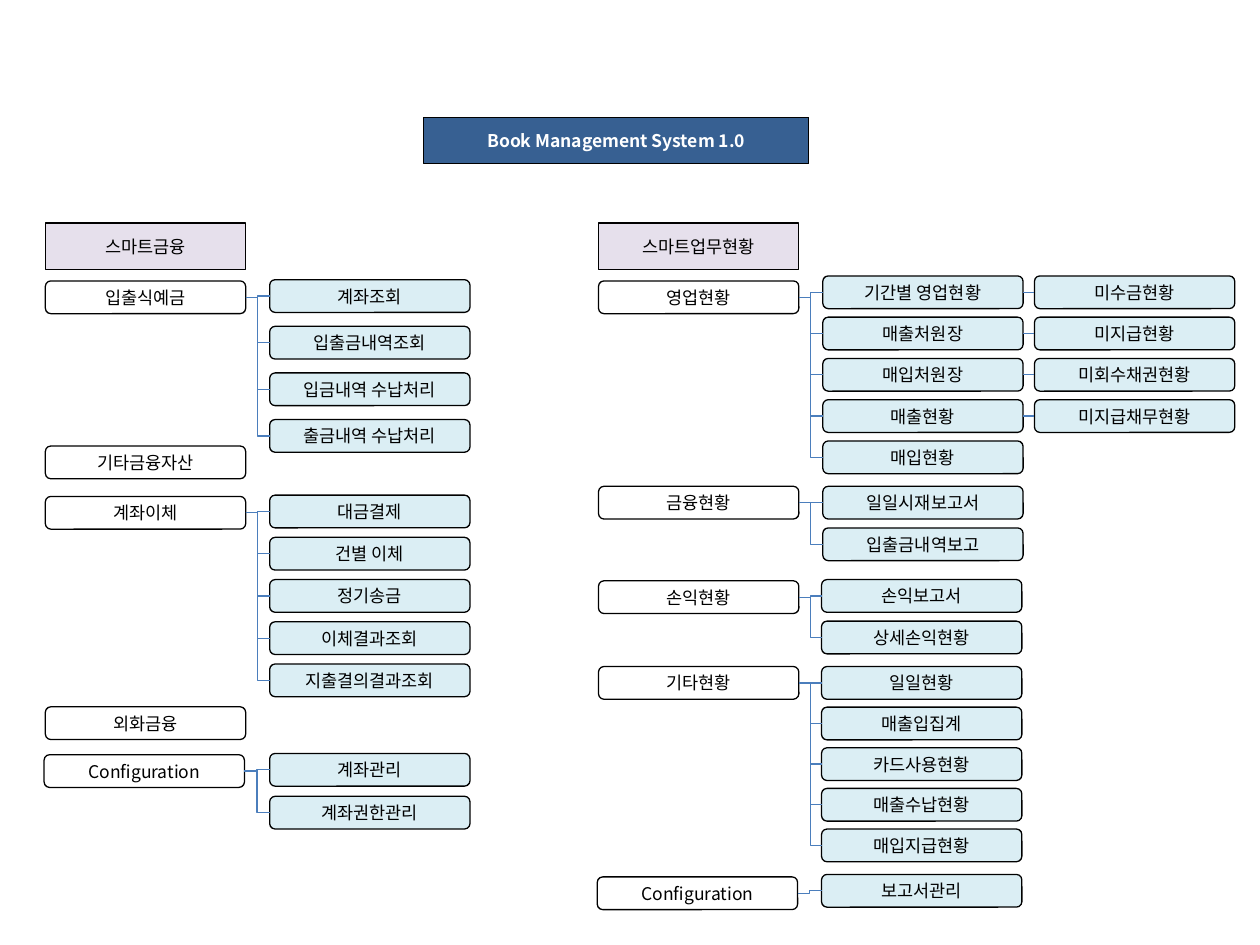
"""Build the menu tree slide of the Book Management System."""
from pptx import Presentation
from pptx.dml.color import RGBColor
from pptx.enum.shapes import MSO_CONNECTOR, MSO_SHAPE
from pptx.enum.text import MSO_ANCHOR, MSO_AUTO_SIZE, PP_ALIGN
from pptx.oxml.ns import qn
from pptx.util import Inches, Pt

FONT = "Noto Sans CJK KR"
BLACK = RGBColor(0x00, 0x00, 0x00)
WHITE = RGBColor(0xFF, 0xFF, 0xFF)
NAVY = RGBColor(0x37, 0x60, 0x92)
LILAC = RGBColor(0xE6, 0xE0, 0xEC)
AQUA = RGBColor(0xDB, 0xEE, 0xF4)
BLUE = RGBColor(0x4B, 0x7E, 0xBC)

BOX_W, BOX_H, HEAD_H = 1.59, 0.26, 0.37
HEAD_Y = 1.77

SECTIONS = [
    (0.36, "스마트금융", [
        (0.36, 2.23, "입출식예금", 2.14, 2.22, 3.33,
         ["계좌조회", "입출금내역조회", "입금내역 수납처리", "출금내역 수납처리"]),
        (0.36, 3.54, "기타금융자산", 2.14, 3.54, 3.54, []),
        (0.36, 3.94, "계좌이체", 2.14, 3.93, 5.27,
         ["대금결제", "건별 이체", "정기송금", "이체결과조회", "지출결의결과조회"]),
        (0.36, 5.61, "외화금융", 2.14, 5.61, 5.61, []),
        (0.35, 5.99, "Configuration", 2.14, 5.98, 6.32, ["계좌관리", "계좌권한관리"]),
    ]),
    (4.75, "스마트업무현황", [
        (4.75, 2.23, "영업현황", 6.53, 2.19, 3.5,
         ["기간별 영업현황", "매출처원장", "매입처원장", "매출현황", "매입현황"]),
        (4.75, 3.86, "금융현황", 6.53, 3.86, 4.19, ["일일시재보고서", "입출금내역보고"]),
        (4.75, 4.61, "손익현황", 6.52, 4.6, 4.93, ["손익보고서", "상세손익현황"]),
        (4.75, 5.29, "기타현황", 6.52, 5.29, 6.58,
         ["일일현황", "매출입집계", "카드사용현황", "매출수납현황", "매입지급현황"]),
        (4.74, 6.96, "Configuration", 6.52, 6.94, 6.94, ["보고서관리"]),
    ]),
]
DETAILS = {
    "기간별 영업현황": "미수금현황",
    "매출처원장": "미지급현황",
    "매입처원장": "미회수채권현황",
    "매출현황": "미지급채무현황",
}
DETAIL_X = 8.21

prs = Presentation()
prs.slide_width, prs.slide_height = Inches(10), Inches(7.5)
s = prs.slides.add_slide(prs.slide_layouts[5])


def add_box(text, x, y, w=BOX_W, h=BOX_H, kind=MSO_SHAPE.ROUNDED_RECTANGLE,
            fill=None, color=BLACK, bold=False, sp=None):
    if sp is None:
        sp = s.shapes.add_shape(kind, Inches(x), Inches(y), Inches(w), Inches(h))
        sp.shadow.inherit = False
    else:
        sp.left, sp.top, sp.width, sp.height = map(Inches, (x, y, w, h))
    if fill is None:
        sp.fill.background()
    else:
        sp.fill.solid()
        sp.fill.fore_color.rgb = fill
    sp.line.color.rgb = BLACK
    sp.line.width = Pt(0.75)
    tf = sp.text_frame
    tf.word_wrap = True
    tf.auto_size = MSO_AUTO_SIZE.NONE
    tf.vertical_anchor = MSO_ANCHOR.MIDDLE
    p = tf.paragraphs[0]
    p.alignment = PP_ALIGN.CENTER
    r = p.add_run()
    r.text = text
    r.font.size, r.font.bold, r.font.name = Pt(10), bold, FONT
    r.font.color.rgb = color
    ea = r.font._element.makeelement(qn("a:ea"), {"typeface": FONT})
    r.font._element.find(qn("a:latin")).addnext(ea)
    return sp


def link(start, end, kind=MSO_CONNECTOR.ELBOW):
    cn = s.shapes.add_connector(kind, 0, 0, 0, 0)
    cn.begin_connect(start, 3)
    cn.end_connect(end, 1)
    cn.line.color.rgb = BLUE
    cn.line.width = Pt(0.75)
    spPr = cn._element.spPr
    spPr.append(spPr.makeelement(qn("a:effectLst"), {}))


add_box("Book Management System 1.0", 3.36, 0.93, w=3.06, h=HEAD_H,
        fill=NAVY, color=WHITE, bold=True, sp=s.shapes.title)

for head_x, head, menus in SECTIONS:
    add_box(head, head_x, HEAD_Y, h=HEAD_H, kind=MSO_SHAPE.RECTANGLE, fill=LILAC)
    for x, y, menu, item_x, first_y, last_y, items in menus:
        menu_box = add_box(menu, x, y)
        step = (last_y - first_y) / max(len(items) - 1, 1)
        for i, item in enumerate(items):
            item_y = first_y + i * step
            item_box = add_box(item, item_x, item_y, fill=AQUA)
            link(menu_box, item_box)
            if item in DETAILS:
                detail_box = add_box(DETAILS[item], DETAIL_X, item_y, fill=AQUA)
                link(item_box, detail_box, kind=MSO_CONNECTOR.STRAIGHT)

prs.save("out.pptx")
